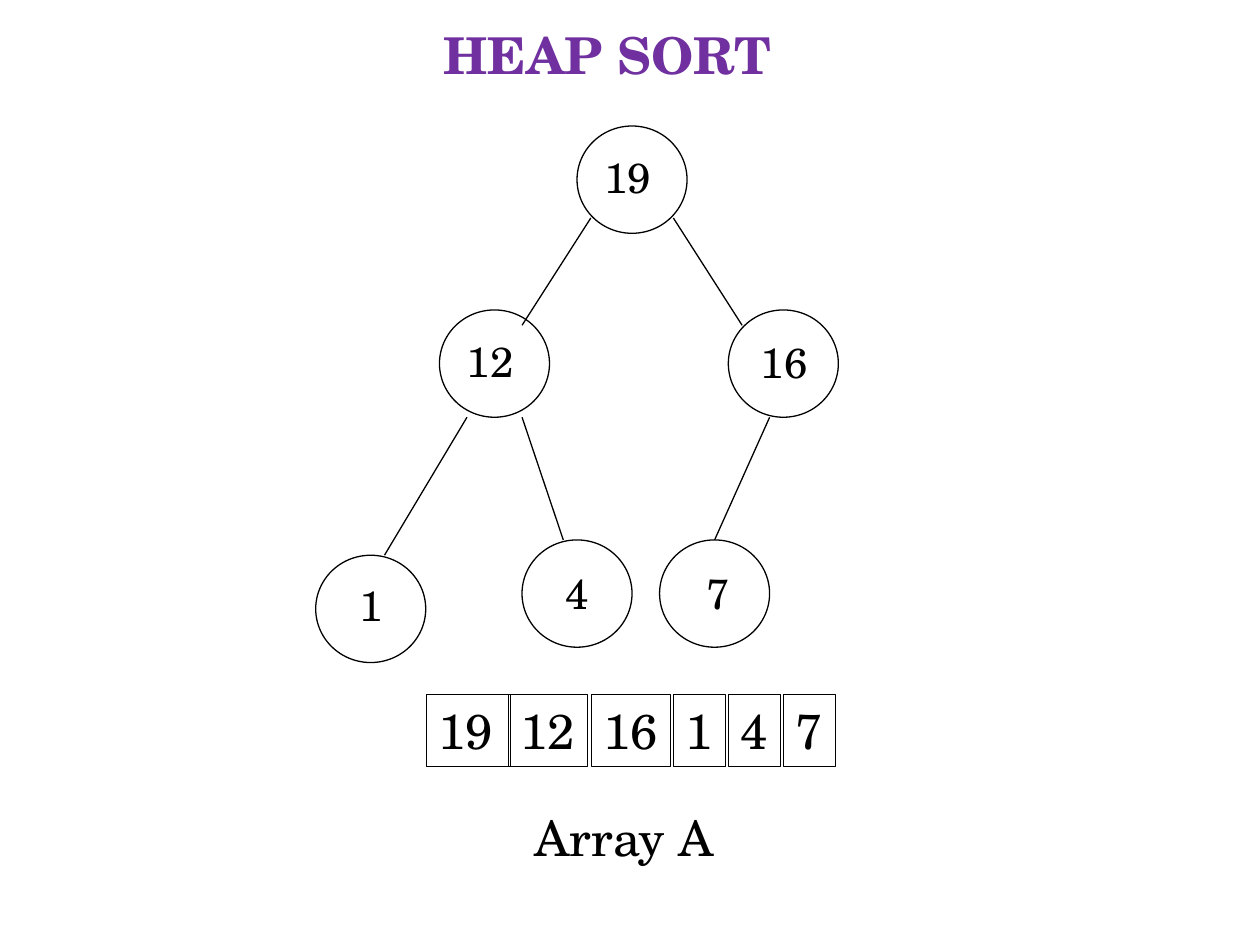
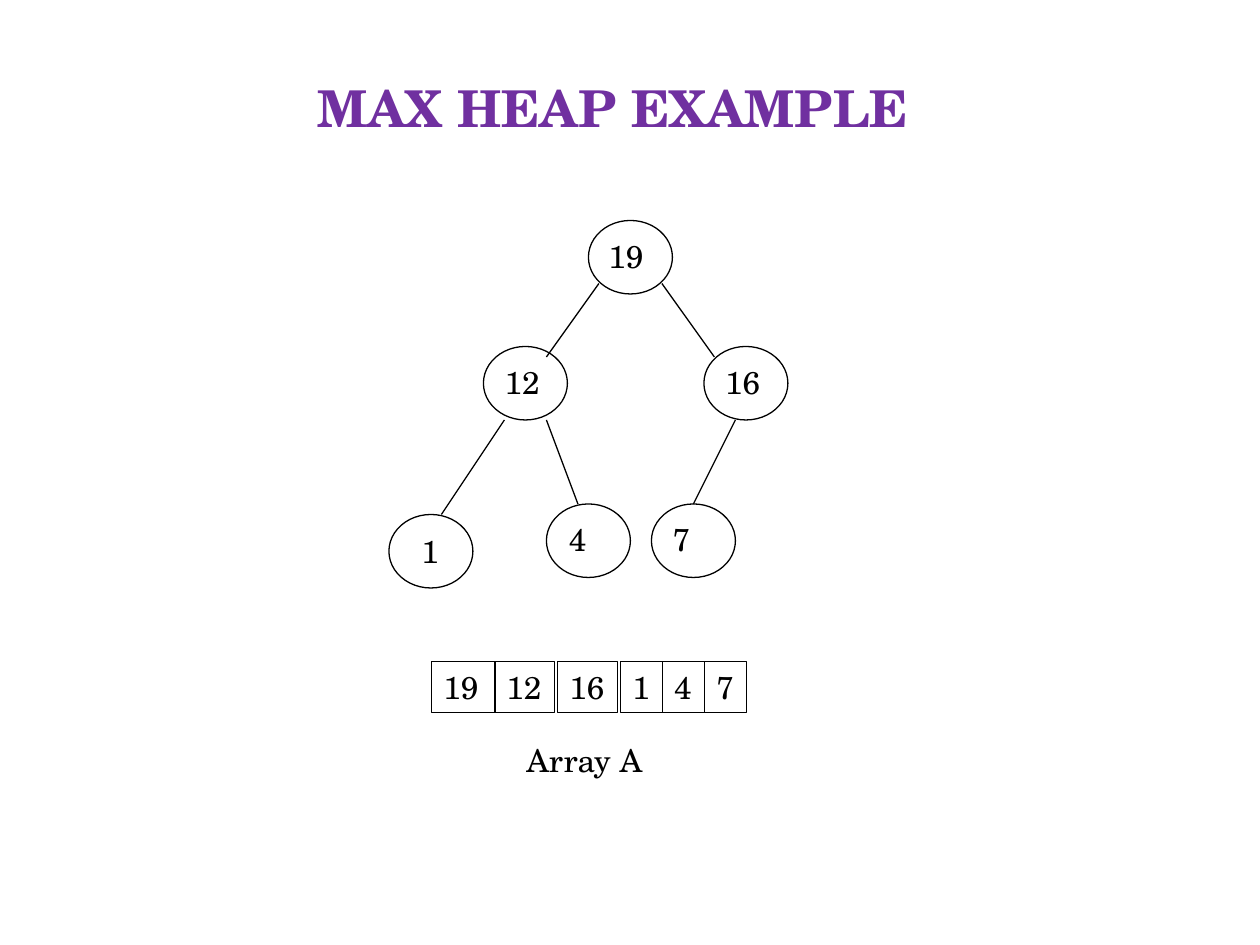
from pptx import Presentation
from pptx.dml.color import RGBColor
from pptx.enum.shapes import MSO_CONNECTOR, MSO_SHAPE
from pptx.enum.text import MSO_ANCHOR, MSO_AUTO_SIZE, PP_ALIGN
from pptx.oxml.xmlchemy import OxmlElement
from pptx.util import Inches, Pt

OVAL, RECT = MSO_SHAPE.OVAL, MSO_SHAPE.RECTANGLE
STRAIGHT = MSO_CONNECTOR.STRAIGHT
GROW, FIXED = MSO_AUTO_SIZE.SHAPE_TO_FIT_TEXT, MSO_AUTO_SIZE.NONE
LEFT, TOP, BOTTOM = PP_ALIGN.LEFT, MSO_ANCHOR.TOP, MSO_ANCHOR.BOTTOM

FONT = "TeX Gyre Schola"
BLACK = RGBColor(0x00, 0x00, 0x00)
PURPLE = RGBColor(0x70, 0x30, 0xA0)
TITLE_SIZE, TITLE_HEIGHT = 29, 0.59

# Heap and array in grid units; nodes and edges are relative to the root's corner.
UNITS_PER_INCH = 12
HEAP = [("19", 0, 0), ("12", -10, 12), ("16", 11, 12),
        ("4", -4, 27), ("1", -19, 28), ("7", 6, 27)]
EDGES = [((1, 6), (-4, 13)), ((-8, 19), (-14, 28)), ((-4, 19), (-1, 27)),
         ((7, 6), (12, 13)), ((14, 19), (10, 27))]
NODE_WIDTH, NODE_HEIGHT = 8, 7
ARRAY = ["19", "12", "16", "1", "4", "7"]
CELL_STEP = {1: 4, 2: 6}  # by number of digits

SLIDES = [
    dict(title="HEAP SORT", title_at=(3.42, 0.13, 3.5),
         root=(4.58, 1), scale=(1.31, 1.46),
         node_size=24, label_width={1: 0.38, 2: 0.57}, label_height=0.5,
         label_offsets=[(0.12, 0.15), (0.12, 0.15), (0.16, 0.16),
                        (0.25, 0.17), (0.25, 0.14), (0.27, 0.17)],
         array_at=(3.38, 5.51), array_size=28, first_cell=0.67,
         cell_width={1: 0.41, 2: 0.63}, cell_height=0.57,
         caption_at=(4.14, 6.36, 1.97, 0.57)),
    dict(title="MAX HEAP EXAMPLE", title_at=(2.42, 0.55, 5.33),
         root=(4.67, 1.75), scale=(1, 1),
         node_size=18, label_width={1: 0.34, 2: 0.48}, label_height=0.4,
         label_offsets=[(0.06, 0.08), (0.07, 0.08), (0.07, 0.08),
                        (0.08, 0.08), (0.16, 0.09), (0.07, 0.08)],
         array_at=(3.42, 5.25), array_size=18, first_cell=0.51,
         cell_width={1: 0.34, 2: 0.48}, cell_height=0.4,
         caption_at=(4.08, 5.83, 1.5, 0.4)),
]


def inches(*lengths):
    return [Inches(length) for length in lengths]


def write(s, text, size, color=BLACK, bold=False, wrap=False,
          anchor=TOP, auto_size=GROW):
    tf = s.text_frame
    tf.text = text
    tf.word_wrap = wrap
    tf.auto_size = auto_size
    tf.vertical_anchor = anchor
    p = tf.paragraphs[0]
    p.alignment = LEFT
    font = p.runs[0].font
    font.name, font.size, font.bold = FONT, Pt(size), bold
    font.color.rgb = color


def add_outline(slide, kind, box, line_width):
    s = slide.shapes.add_shape(kind, *inches(*box))
    s.shadow.inherit = False
    s.fill.background()
    s.line.color.rgb = BLACK
    s.line.width = Pt(line_width)
    return s


def add_edge(slide, start, end):
    s = slide.shapes.add_connector(STRAIGHT, *inches(*start, *end))
    s.line.color.rgb = BLACK
    s.line.width = Pt(0.75)
    s._element.spPr.append(OxmlElement("a:effectLst"))


def add_title(slide, d):
    s = slide.shapes.title
    s.left, s.top, s.width, s.height = inches(*d["title_at"], TITLE_HEIGHT)
    write(s, d["title"], TITLE_SIZE, PURPLE, bold=True, wrap=True,
          anchor=BOTTOM, auto_size=FIXED)


def add_heap(slide, d):
    unit_x, unit_y = (scale / UNITS_PER_INCH for scale in d["scale"])
    root_x, root_y = d["root"]

    def place(x, y):
        return root_x + x * unit_x, root_y + y * unit_y

    for (value, col, row), (dx, dy) in zip(HEAP, d["label_offsets"]):
        x, y = place(col, row)
        add_outline(slide, OVAL,
                    (x, y, NODE_WIDTH * unit_x, NODE_HEIGHT * unit_y), 0.75)
        label = slide.shapes.add_textbox(*inches(
            x + dx, y + dy, d["label_width"][len(value)], d["label_height"]))
        write(label, value, d["node_size"])
    for start, end in EDGES:
        add_edge(slide, place(*start), place(*end))


def add_array(slide, d):
    x, y = d["array_at"]
    for i, value in enumerate(ARRAY):
        digits = len(value)
        width = d["cell_width"][digits] if i else d["first_cell"]
        cell = add_outline(slide, RECT, (x, y, width, d["cell_height"]), 0.25)
        write(cell, value, d["array_size"], wrap=i == 0)
        x += CELL_STEP[digits] * d["scale"][0] / UNITS_PER_INCH
    caption = slide.shapes.add_textbox(*inches(*d["caption_at"]))
    write(caption, "Array A", d["array_size"], wrap=True)


def main():
    prs = Presentation()
    prs.slide_width, prs.slide_height = inches(10, 7.5)
    for d in SLIDES:
        slide = prs.slides.add_slide(prs.slide_layouts[5])
        add_title(slide, d)
        add_heap(slide, d)
        add_array(slide, d)
    prs.save("out.pptx")


if __name__ == "__main__":
    main()
